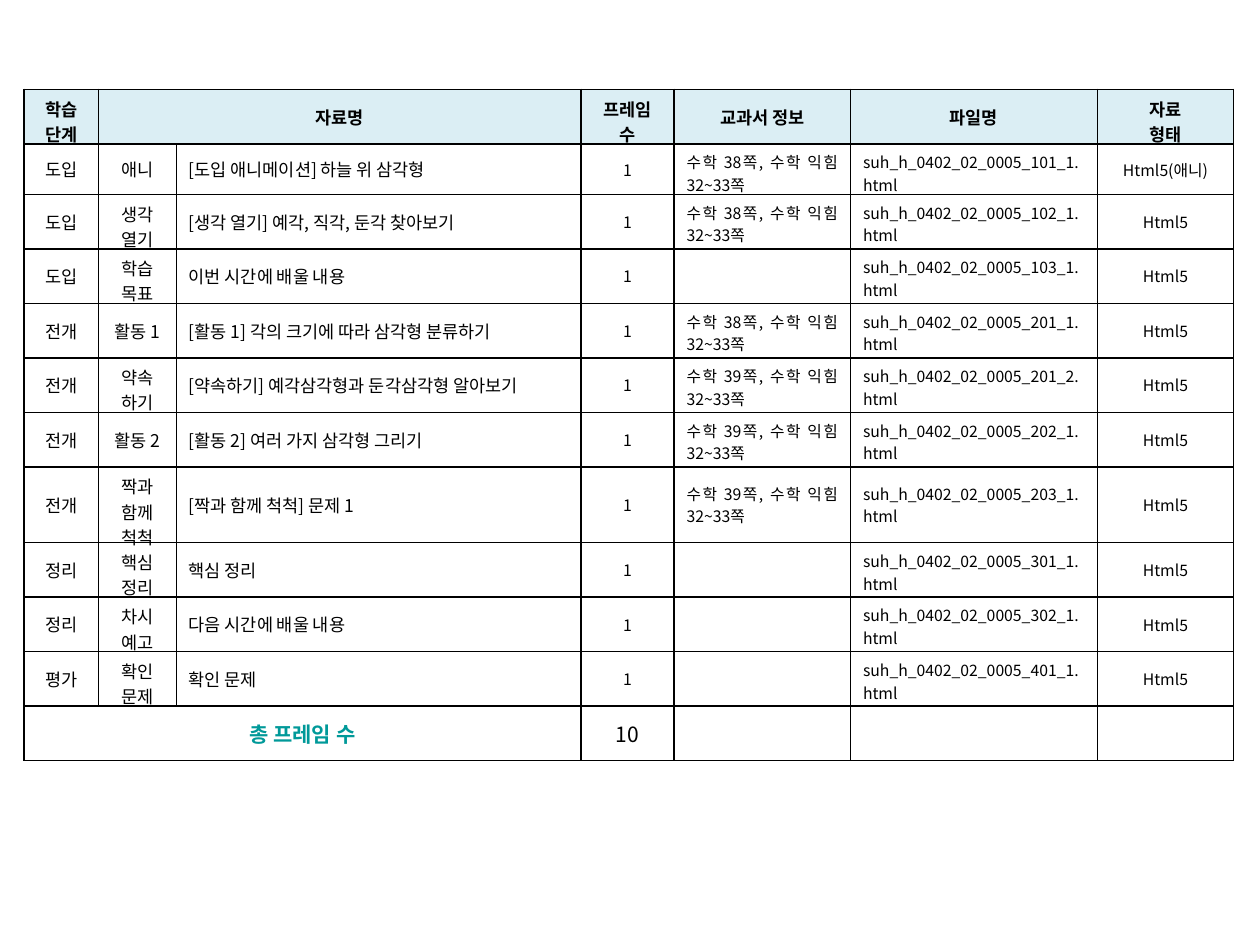
from itertools import product
from lxml.etree import SubElement
from pptx import Presentation
from pptx.dml.color import RGBColor
from pptx.enum.text import MSO_ANCHOR, PP_ALIGN
from pptx.oxml.ns import qn
from pptx.util import Inches, Pt

FONT = "Noto Sans CJK KR"
COLORS = {"ink": "000000", "head": "DBEEF4", "total": "009999"}
COLS = [0.59, 0.62, 3.21, 0.74, 1.4, 1.96, 1.08]
HEIGHT, SHORT, TALL = 5.33, 0.4, 0.6
UNIT = (HEIGHT - SHORT - TALL) / 10
ROWS = [UNIT, SHORT] + [UNIT] * 5 + [TALL] + [UNIT] * 4
PAD, LEAD = 0.05, 1.46
SIZES = [10, 10, 10, 9, 9, 9, 9]
MID, LEFT, FULL = PP_ALIGN.CENTER, PP_ALIGN.LEFT, PP_ALIGN.JUSTIFY
ALIGNS = [MID, MID, LEFT, MID, FULL, FULL, MID]
HEAD = ["학습 단계", "자료명", "", "프레임 수", "교과서 정보", "파일명", "자료\n형태"]
TOTAL = ["총 프레임 수", "", "", "10", "", "", ""]
STEPS = [
    ("도입", "애니", "[도입 애니메이션] 하늘 위 삼각형", 38, "101_1"),
    ("도입", "생각 열기", "[생각 열기] 예각, 직각, 둔각 찾아보기", 38, "102_1"),
    ("도입", "학습 목표", "이번 시간에 배울 내용", None, "103_1"),
    ("전개", "활동 1", "[활동 1] 각의 크기에 따라 삼각형 분류하기", 38, "201_1"),
    ("전개", "약속 하기", "[약속하기] 예각삼각형과 둔각삼각형 알아보기", 39, "201_2"),
    ("전개", "활동 2", "[활동 2] 여러 가지 삼각형 그리기", 39, "202_1"),
    ("전개", "짝과 함께 척척", "[짝과 함께 척척] 문제 1", 39, "203_1"),
    ("정리", "핵심 정리", "핵심 정리", None, "301_1"),
    ("정리", "차시 예고", "다음 시간에 배울 내용", None, "302_1"),
    ("평가", "확인 문제", "확인 문제", None, "401_1"),
]


def expand(step, kind):
    """Return the seven cell texts of one lesson step."""
    stage, part, title, page, code = step
    book = f"수학 {page}쪽, 수학 익힘 32~33쪽" if page else ""
    return [stage, part, title, "1", book, f"suh_h_0402_02_0005_{code}.html", kind]


def border(cell):
    """Draw a thin dark line on all four sides of a cell."""
    props = cell._tc.get_or_add_tcPr()
    for spot, side in enumerate(("lnL", "lnR", "lnT", "lnB")):
        line = props.makeelement(qn(f"a:{side}"), {"w": str(Pt(1))})
        fill = SubElement(line, qn("a:solidFill"))
        SubElement(fill, qn("a:srgbClr"), val=COLORS["ink"])
        props.insert(spot, line)


def count(row, col, text):
    """Return how many lines a cell's text takes."""
    if row == 0:
        return 2 if col in (0, 3, 6) else 1
    if row == len(ROWS) - 1 or not text:
        return 1
    if col == 1:
        return 1 if text.startswith("활동") else len(text.split())
    return 2 if col in (4, 5) else 1


def fit(cell, height, lines, size):
    """Trim the bottom margin so that the lines keep the row height."""
    room = height - PAD - lines * size * LEAD / 72
    cell.margin_top = Inches(PAD)
    cell.margin_bottom = Inches(min(PAD, room))


def write(cell, text, size, align, bold=False, color="ink"):
    """Fill a cell with one run per line of text."""
    cell.vertical_anchor = MSO_ANCHOR.MIDDLE
    frame = cell.text_frame
    for spot, line in enumerate(text.split("\n")):
        para = frame.add_paragraph() if spot else frame.paragraphs[0]
        para.alignment = align
        if not line:
            SubElement(para._p, qn("a:endParaRPr"), sz=str(size * 100))
            continue
        run = para.add_run()
        run.text = line
        font = run.font
        font.name, font.size, font.bold = FONT, Pt(size), bold
        font.color.rgb = RGBColor.from_string(COLORS[color])
        SubElement(font._element, qn("a:ea"), typeface=FONT)


def style(row, col):
    """Return size, alignment, weight and colour for a grid place."""
    if row == 0:
        return 10, MID, True, "ink"
    if row == len(ROWS) - 1:
        return 12, MID, col == 0, "total" if col == 0 else "ink"
    return SIZES[col], ALIGNS[col], False, "ink"


def plan(slide, left, top):
    """Place the lesson plan table with its corner at the given point."""
    body = [expand(step, "Html5" if spot else "Html5(애니)")
            for spot, step in enumerate(STEPS)]
    data = [HEAD, *body, TOTAL]
    table = slide.shapes.add_table(len(ROWS), len(COLS), left, top,
                                   Inches(sum(COLS)), Inches(HEIGHT)).table
    table.first_row = table.horz_banding = False
    for col, width in zip(table.columns, COLS):
        col.width = Inches(width)
    for row, height in zip(table.rows, ROWS):
        row.height = Inches(height)
    for row, col in product(range(len(ROWS)), range(len(COLS))):
        cell, text, look = table.cell(row, col), data[row][col], style(row, col)
        write(cell, text, *look)
        fit(cell, ROWS[row], count(row, col, text), look[0])
        if row:
            cell.fill.background()
        else:
            cell.fill.solid()
            cell.fill.fore_color.rgb = RGBColor.from_string(COLORS["head"])
        border(cell)
    last = len(ROWS) - 1
    table.cell(0, 1).merge(table.cell(0, 2))
    table.cell(last, 0).merge(table.cell(last, 2))


def main():
    """Build and save the slide."""
    deck = Presentation()
    deck.slide_width, deck.slide_height = Inches(10), Inches(7.5)
    slide = deck.slides.add_slide(deck.slide_layouts[6])
    plan(slide, Inches(0.19), Inches(0.71))
    deck.save("out.pptx")


if __name__ == "__main__":
    main()
